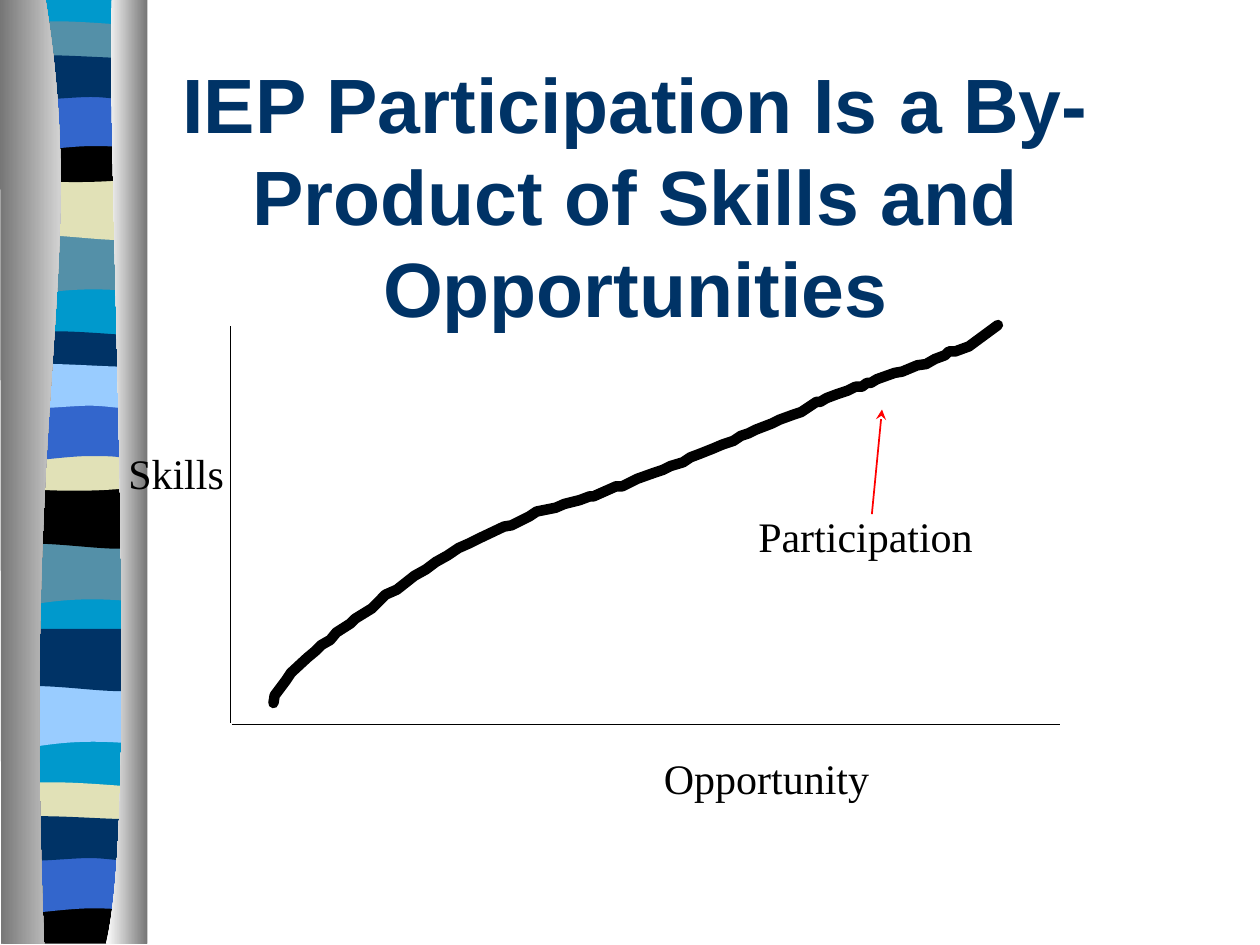
import pptx
import pptx.util
import pptx.dml.color
import pptx.enum.shapes
import pptx.enum.text
import pptx.oxml
import pptx.oxml.ns
import lxml.etree

Inches = pptx.util.Inches
qn = pptx.oxml.ns.qn


def colour(code):
    return pptx.dml.color.RGBColor.from_string(code)


def draw_outline(start, steps, left=0, top=0, closed=True):
    """Draw points (x, y) and cubic curves (x1, y1, x2, y2, x, y) in inches."""
    points = [start]
    for step in steps:
        points.extend(zip(step[::2], step[1::2]))
    places = [(Inches(left + x), Inches(top + y)) for x, y in points]
    builder = page.shapes.build_freeform(*places[0], scale=1.0)
    builder.add_line_segments(places[1:], close=closed)
    shape = builder.convert_to_shape()
    shape.shadow.inherit = False
    # Join the three segments of each curve into one cubic segment
    segments = iter(list(shape._element.iter(qn("a:lnTo"))))
    for step in steps:
        group = [next(segments) for _ in range(len(step) // 2)]
        if len(group) == 3:
            cubic = lxml.etree.Element(qn("a:cubicBezTo"))
            group[0].addprevious(cubic)
            for segment in group:
                cubic.append(segment[0])
                segment.getparent().remove(segment)
    return shape


deck = pptx.Presentation()
deck.slide_width, deck.slide_height = Inches(10), Inches(7.5)
page = deck.slides.add_slide(deck.slide_layouts[6])
page.background.fill.solid()
page.background.fill.fore_color.rgb = colour("FFFFFF")

# Striped ribbon: stripe outlines, each drawn from its top right corner
width = 1.08
outlines = {
    "base": ((width, 0), [(width, 7.48), (0, 7.48), (0, 0)]),
    "ripple": ((width, 0), [(width, 0.47), (0.33, 0.39, 0.18, 0.55, 0, 0.47), (0, 0)]),
    "swell": ((width, 0), [(width, 0.47), (0.9, 0.55, 0.33, 0.41, 0, 0.47), (0, 0)]),
    "lens": ((width, 0.05), [(width, 0.29), (0.9, 0.33, 0.18, 0.33, 0, 0.29), (0, 0.05),
                             (0.06, 0, 0.23, 0.01, 0.41, 0.01),
                             (0.59, 0.01, 0.94, 0.04, width, 0.05)]),
    "bowl": ((width, 0), [(width, 0.32), (0.9, 0.38, 0.18, 0.38, 0, 0.32), (0, 0),
                          (0.66, 0.05, 0.85, 0, width, 0)]),
    "arch": ((width, 0), [(width, 0.47), (0.91, 0.42, 0.84, 0.42, 0.66, 0.42),
                          (0.48, 0.42, 0.16, 0.47, 0, 0.47), (0, 0)]),
    "wave": ((width, 0.05), [(width, 0.36), (1.01, 0.41, 0.84, 0.36, 0.66, 0.36),
                             (0.48, 0.36, 0.11, 0.41, 0, 0.36), (0, 0.05),
                             (0.15, 0, 0.73, 0.05, 0.91, 0.05),
                             (1.09, 0.05, 1.04, 0.05, width, 0.05)]),
    "foot": ((width, 0), [(width, 0.37), (0, 0.37), (0, 0), (0.66, 0.05, 0.85, 0, width, 0)]),
}
stripes = [
    ("base", 0.06, -0.01, "0099CC"),
    ("ripple", 0.06, 1.85, "5490A8"), ("swell", 0.06, 1.41, "E1E1B7"),
    ("lens", 0.06, 0.16, "5490A8"), ("bowl", 0.06, 1.08, "000000"),
    ("arch", 0.06, 0.74, "3366CC"), ("wave", 0.06, 0.41, "003366"),
    ("ripple", 0.05, 4.31, "5490A8"), ("swell", 0.05, 3.86, "000000"),
    ("lens", 0.05, 2.62, "003366"), ("bowl", 0.05, 3.53, "E1E1B7"),
    ("arch", 0.05, 3.2, "3366CC"), ("wave", 0.05, 2.86, "99CCFF"),
    ("ripple", 0.06, 5.44, "99CCFF"), ("swell", 0.06, 4.99, "003366"),
    ("lens", 0.05, 6.2, "E1E1B7"), ("foot", 0.05, 7.12, "000000"),
    ("arch", 0.05, 6.79, "3366CC"), ("wave", 0.05, 6.45, "003366"),
]
for name, left, top, code in stripes:
    stripe = draw_outline(*outlines[name], left, top)
    stripe.fill.solid()
    stripe.fill.fore_color.rgb = colour(code)
    stripe.line.fill.background()

# Shaded edges on both sides of the ribbon
edges = [
    ((0.36, -0.01), [(0.71, 2.16, 0.17, 2.96, 0.35, 7.49), (0.01, 7.49), (0, -0.01)],
     ("767676", "FFFFFF")),
    ((0.89, -0.01), [(0.84, 1.25, 1.12, 6.46, 0.84, 7.49), (1.17, 7.49), (1.17, 0)],
     ("FFFFFF", "767676")),
]
for start, steps, shades in edges:
    edge = draw_outline(start, steps)
    edge.fill.gradient()
    edge.fill.gradient_angle = 0
    for stop, shade in zip(edge.fill.gradient_stops, shades):
        stop.color.rgb = colour(shade)
    edge.line.fill.background()

# Title and labels
heading = {"size": pptx.util.Pt(44), "name": "Arial", "bold": True}
label = {"size": pptx.util.Pt(24), "name": "Times New Roman"}
centre, start_side = pptx.enum.text.PP_ALIGN.CENTER, pptx.enum.text.PP_ALIGN.LEFT
middle, upper = pptx.enum.text.MSO_ANCHOR.MIDDLE, pptx.enum.text.MSO_ANCHOR.TOP
texts = [
    ("IEP Participation Is a By- Product of Skills and Opportunities",
     (0.92, 0.92, 8.25, 1.25), heading, "003366", True, middle, centre),
    ("Skills", (0.92, 3.5, 0.96, 0.5), label, "000000", False, upper, start_side),
    ("Opportunity", (5.17, 5.92, 1.83, 0.5), label, "000000", False, upper, start_side),
    ("Participation", (5.92, 4, 3.17, 0.5), label, "000000", True, upper, start_side),
]
for words, place, font, code, wrap, anchor, align in texts:
    box = page.shapes.add_textbox(*map(Inches, place))
    box.text_frame.word_wrap = wrap
    box.text_frame.vertical_anchor = anchor
    para = box.text_frame.paragraphs[0]
    para.alignment = align
    span = para.add_run()
    span.text = words
    for attribute, value in font.items():
        setattr(span.font, attribute, value)
    span.font.color.rgb = colour(code)

# Participation curve
curve_points = [
    (2.17, 5.58), (2.18, 5.52), (2.27, 5.4), (2.31, 5.34), (2.44, 5.22), (2.5, 5.17),
    (2.55, 5.12), (2.62, 5.08), (2.67, 5.02), (2.78, 4.95), (2.82, 4.91), (2.95, 4.83),
    (3.06, 4.72), (3.15, 4.68), (3.29, 4.57), (3.38, 4.52), (3.46, 4.46), (3.55, 4.41),
    (3.64, 4.35), (3.73, 4.31), (3.81, 4.27), (4, 4.18), (4.06, 4.17), (4.2, 4.1),
    (4.26, 4.06), (4.41, 4.03), (4.48, 4), (4.6, 3.97), (4.68, 3.94), (4.71, 3.94),
    (4.89, 3.86), (4.94, 3.86), (5.06, 3.8), (5.2, 3.75), (5.26, 3.73), (5.32, 3.7),
    (5.42, 3.67), (5.48, 3.63), (5.56, 3.6), (5.66, 3.56), (5.73, 3.53), (5.82, 3.5),
    (5.88, 3.46), (5.94, 3.44), (6, 3.41), (6.13, 3.36), (6.19, 3.33), (6.3, 3.29),
    (6.36, 3.27), (6.48, 3.19), (6.51, 3.19), (6.56, 3.16), (6.64, 3.13), (6.73, 3.1),
    (6.79, 3.07), (6.84, 3.07), (6.88, 3.04), (6.91, 3.04), (6.96, 3.01), (7.1, 2.96),
    (7.16, 2.95), (7.28, 2.9), (7.35, 2.89), (7.42, 2.85), (7.5, 2.82), (7.53, 2.79),
    (7.58, 2.79), (7.69, 2.75), (7.92, 2.58),
]
curve = draw_outline(curve_points[0], curve_points[1:], closed=False)
curve.fill.background()
curve.line.color.rgb = colour("000000")
curve.line.width = pptx.util.Pt(6)
stroke = curve.line._get_or_add_ln()
stroke.set("cap", "rnd")
lxml.etree.SubElement(stroke, qn("a:round"))

# Axes and the arrow to the curve
lines = [
    ((1.83, 2.59, 1.83, 5.74), "000000", False),
    ((1.84, 5.75, 8.41, 5.75), "000000", False),
    ((7, 3.25, 6.92, 4.08), "FF0000", True),
]
for ends, code, arrow in lines:
    line = page.shapes.add_connector(pptx.enum.shapes.MSO_CONNECTOR.STRAIGHT,
                                     *map(Inches, ends))
    line.line.color.rgb = colour(code)
    line.line.width = pptx.util.Pt(1)
    if arrow:
        stroke = line.line._get_or_add_ln()
        lxml.etree.SubElement(stroke, qn("a:headEnd"), type="stealth")
    lxml.etree.SubElement(line._element.spPr, qn("a:effectLst"))

deck.save("out.pptx")
